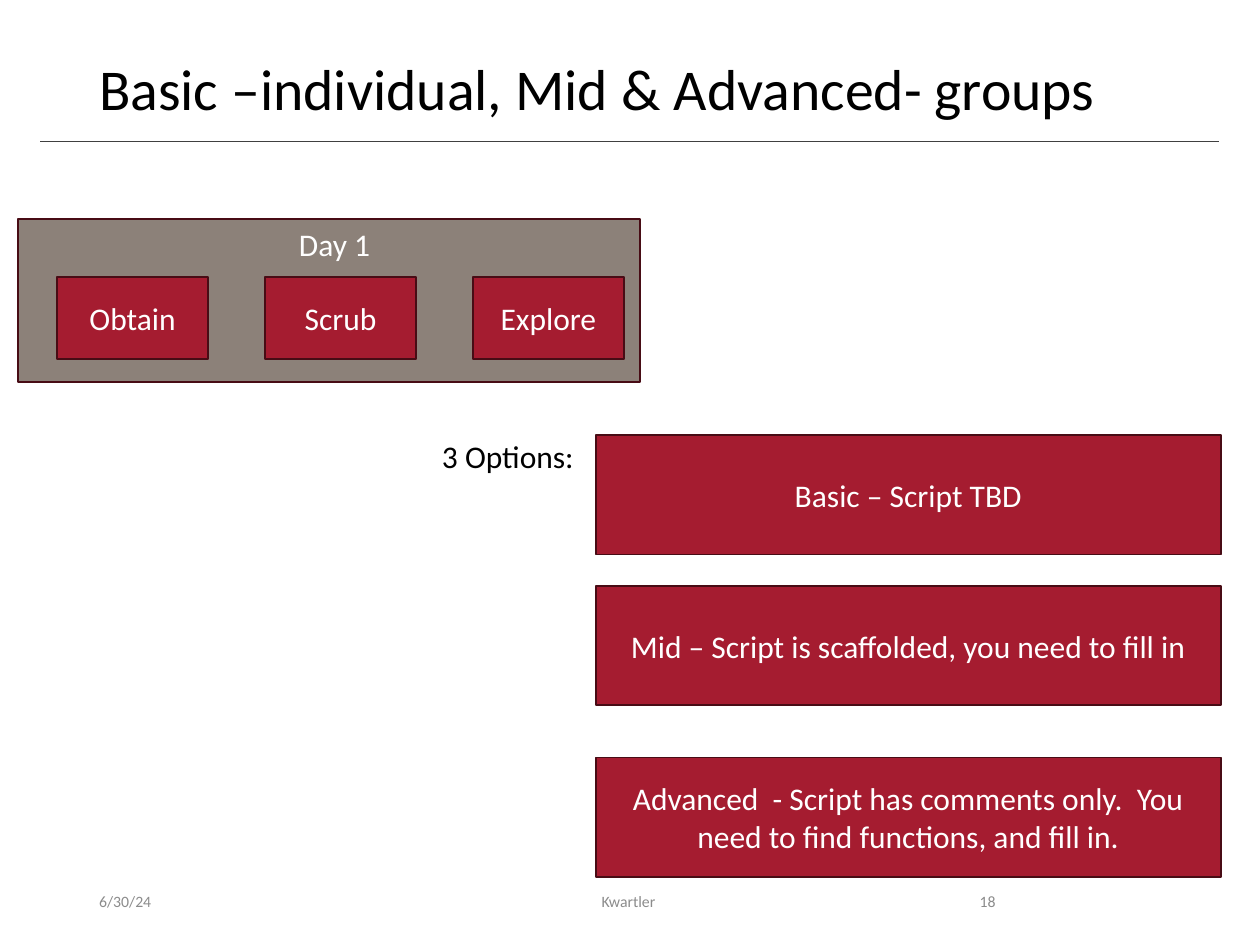
from lxml import etree
from pptx import Presentation
from pptx.dml.color import RGBColor
from pptx.enum.shapes import MSO_CONNECTOR, MSO_SHAPE
from pptx.enum.text import MSO_ANCHOR, PP_ALIGN
from pptx.oxml.ns import qn
from pptx.util import Cm, Pt

LEFT, MID, RIGHT = PP_ALIGN.LEFT, PP_ALIGN.CENTER, PP_ALIGN.RIGHT
TOP, CENTRE = MSO_ANCHOR.TOP, MSO_ANCHOR.MIDDLE
RECT, LINE = MSO_SHAPE.RECTANGLE, MSO_CONNECTOR.STRAIGHT
HUES = {"red": "A51C30", "edge": "480C15", "stone": "8C8179", "rule": "404040",
        "foot": "8C8C8C", "black": "000000", "white": "FFFFFF"}


def hue(name):
    """Return the named colour."""
    return RGBColor.from_string(HUES[name])


def write(frame, text, size, tint, align, anchor):
    """Fill a text frame with one styled paragraph and return it."""
    frame.word_wrap = True
    frame.vertical_anchor = anchor
    para = frame.paragraphs[0]
    para.text = text
    para.alignment = align
    font = para.font
    font.name, font.size = "Calibri", Pt(size)
    font.color.rgb = hue(tint)
    return para


def label(slide, box, text, size=18, tint="black", align=LEFT, anchor=TOP):
    """Add a text box and return its paragraph."""
    area = slide.shapes.add_textbox(*map(Cm, box))
    return write(area.text_frame, text, size, tint, align, anchor)


def block(slide, box, fill, text=""):
    """Add an outlined rectangle with centred white text."""
    shape = slide.shapes.add_shape(RECT, *map(Cm, box))
    shape.shadow.inherit = False
    shape.fill.solid()
    shape.fill.fore_color.rgb = hue(fill)
    shape.line.color.rgb = hue("edge")
    shape.line.width = Pt(1)
    if text:
        write(shape.text_frame, text, 18, "white", MID, CENTRE)


def header(slide, x, y, width):
    """Place the title and the rule below it."""
    para = label(slide, (x + 0.94, y, width - 1.88, 1.65),
                 "Basic –individual, Mid & Advanced- groups", 33, anchor=CENTRE)
    para.line_spacing = 0.9
    base = Cm(y + 1.83)
    rule = slide.shapes.add_connector(LINE, Cm(x), base, Cm(x + width), base)
    rule.line.color.rgb = hue("rule")
    rule.line.width = Pt(0.5)
    etree.SubElement(rule._element.spPr, qn("a:effectLst"))


def day(slide, x, y, width, height):
    """Place the day panel with its row of steps."""
    block(slide, (x, y, width, height), "stone")
    for i, step in enumerate(("Obtain", "Scrub", "Explore")):
        block(slide, (x + 0.79 + i * 4.19, y + 1.17, 3.05, 1.65), "red", step)
    label(slide, (x + 5.05, y, 2.67, 1.02), "Day 1", tint="white", align=MID)


def options(slide, x, y, width):
    """Place the options heading and its stack of choices."""
    label(slide, (x, y, 8.2, 1.02), "3 Options:")
    rows = ((0.08, "Basic – Script TBD"),
            (3.12, "Mid – Script is scaffolded, you need to fill in"),
            (6.58, "Advanced  - Script has comments only.  "
                   "You need to find functions, and fill in."))
    for drop, text in rows:
        block(slide, (x + 3.35, y + drop, width - 3.35, 2.41), "red", text)


def footer(slide, x, y):
    """Place the date, author and page number."""
    parts = ((0, 5.72, "6/30/24", LEFT), (6.66, 8.59, "Kwartler ", MID),
             (16.18, 2.39, "18", RIGHT))
    for shift, width, text, align in parts:
        label(slide, (x + shift, y, width, 1.02), text, 9, "foot", align, CENTRE)


def main():
    """Build and save the slide."""
    deck = Presentation()
    deck.slide_width, deck.slide_height = Cm(25.4), Cm(19.05)
    slide = deck.slides.add_slide(deck.slide_layouts[6])
    header(slide, 0.81, 1.02, 23.77)
    footer(slide, 1.75, 17.65)
    day(slide, 0.36, 4.42, 12.55, 3.28)
    options(slide, 8.66, 8.69, 15.95)
    deck.save("out.pptx")


if __name__ == "__main__":
    main()
